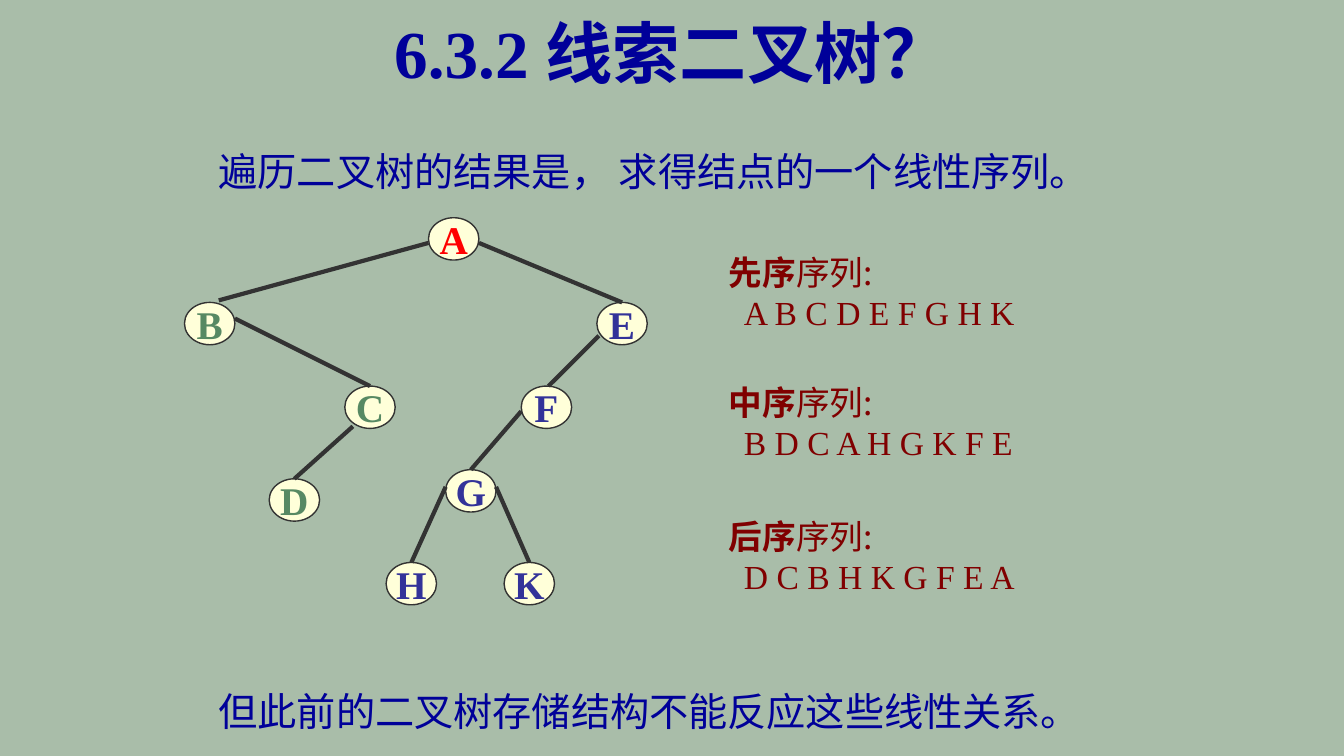
from dataclasses import dataclass

from lxml import etree
from pptx import Presentation
from pptx import util as u
from pptx.dml.color import RGBColor
from pptx.enum import shapes, text
from pptx.oxml import ns


@dataclass(frozen=True)
class Theme:
    latin: str = "Times New Roman"
    cjk: str = "Noto Sans CJK SC"
    background: str = "A9BDA9"
    heading: str = "000099"
    sequence: str = "800000"
    node_fill: str = "FFFFD9"
    outline: str = "333333"
    root: str = "FF0000"
    left_subtree: str = "578963"
    right_subtree: str = "333399"
    title_size: int = 48
    text_size: int = 28
    sequence_size: int = 24


class TreeSlide:
    """Holds the theme and the slide being filled."""

    def __init__(self, deck, theme):
        self.theme = theme
        self.slide = deck.slides.add_slide(deck.slide_layouts[5])
        self.paint(self.slide.background.fill, theme.background)

    @staticmethod
    def paint(fill, color):
        fill.solid()
        fill.fore_color.rgb = RGBColor.from_string(color)

    def run(self, paragraph, words, size, color, bold=False, latin=None):
        run = paragraph.add_run()
        run.text = words
        run.font.size = u.Pt(size)
        run.font.bold = bold
        run.font.color.rgb = RGBColor.from_string(color)
        run.font.name = latin or self.theme.latin
        east_asian = etree.SubElement(run.font._element, ns.qn("a:ea"))
        east_asian.set("typeface", self.theme.cjk)

    def title(self, words, left, top, width, height):
        heading = self.slide.shapes.title
        heading.left, heading.top = u.Inches(left), u.Inches(top)
        heading.width, heading.height = u.Inches(width), u.Inches(height)
        frame = heading.text_frame
        frame.vertical_anchor = text.MSO_ANCHOR.TOP
        frame.auto_size = text.MSO_AUTO_SIZE.NONE
        paragraph = frame.paragraphs[0]
        paragraph.alignment = text.PP_ALIGN.CENTER
        self.run(paragraph, words, self.theme.title_size, self.theme.heading, bold=True)

    def text_box(self, left, top, width, height, wrap=True):
        box = self.slide.shapes.add_textbox(
            u.Inches(left), u.Inches(top), u.Inches(width), u.Inches(height))
        box.text_frame.word_wrap = wrap
        return box.text_frame

    def statement(self, words, top):
        paragraph = self.text_box(2.07, top, 8.95, 0.62).paragraphs[0]
        paragraph.line_spacing = 1.2
        self.run(paragraph, words, self.theme.text_size, self.theme.heading)

    def sequence(self, order, letters, top):
        theme = self.theme
        frame = self.text_box(7.13, top, 3.12, 0.91, wrap=False)
        label = frame.paragraphs[0]
        self.run(label, order, theme.sequence_size, theme.sequence, True, theme.cjk)
        self.run(label, "序列:", theme.sequence_size, theme.sequence, latin=theme.cjk)
        visits = frame.add_paragraph()
        indent = visits._p.get_or_add_pPr()
        indent.set("marL", str(u.Inches(0.15)))
        indent.set("indent", "0")
        self.run(visits, " ".join(letters), theme.sequence_size, theme.sequence)

    def node(self, letter, left, top, color):
        oval = self.slide.shapes.add_shape(
            shapes.MSO_SHAPE.OVAL,
            u.Inches(left), u.Inches(top), u.Inches(0.5), u.Inches(0.42))
        oval.shadow.inherit = False
        self.paint(oval.fill, self.theme.node_fill)
        self.paint(oval.line.fill, self.theme.outline)
        oval.line.width = u.Pt(1)
        frame = oval.text_frame
        frame.word_wrap = False
        frame.vertical_anchor = text.MSO_ANCHOR.MIDDLE
        paragraph = frame.paragraphs[0]
        paragraph.alignment = text.PP_ALIGN.CENTER
        self.run(paragraph, letter, self.theme.text_size, color, bold=True)

    def branch(self, start, end):
        line = self.slide.shapes.add_connector(
            shapes.MSO_CONNECTOR.STRAIGHT, *(u.Inches(n) for n in (*start, *end)))
        self.paint(line.line.fill, self.theme.outline)
        line.line.width = u.Pt(3)
        etree.SubElement(line._element.spPr, ns.qn("a:effectLst"))


def main():
    deck = Presentation()
    deck.slide_width, deck.slide_height = u.Inches(13.33), u.Inches(7.5)
    theme = Theme()
    page = TreeSlide(deck, theme)

    # Heading and opening statement
    page.title("6.3.2 线索二叉树？", 3.11, 0.06, 7.1, 0.9)
    page.statement("遍历二叉树的结果是， 求得结点的一个线性序列。", 1.32)

    # Tree nodes, coloured by subtree
    subtrees = {
        theme.root: {"A": (4.25, 2.16)},
        theme.left_subtree: {"B": (1.83, 3), "C": (3.42, 3.83), "D": (2.67, 4.75)},
        theme.right_subtree: {"E": (5.92, 3), "F": (5.17, 3.83), "G": (4.42, 4.66),
                              "H": (3.83, 5.58), "K": (5, 5.58)},
    }
    for color, nodes in subtrees.items():
        for letter, (left, top) in nodes.items():
            page.node(letter, left, top, color)

    # Branches from parent to child
    branches = {
        "AB": ((4.25, 2.41), (2.17, 2.98)),
        "BC": ((2.33, 3.16), (3.67, 3.83)),
        "CD": ((3.5, 4.23), (2.92, 4.75)),
        "AE": ((4.75, 2.41), (6.17, 3)),
        "EF": ((5.94, 3.33), (5.44, 3.83)),
        "FG": ((5.17, 4.08), (4.67, 4.66)),
        "GH": ((4.42, 4.83), (4.08, 5.58)),
        "GK": ((4.92, 4.83), (5.25, 5.58)),
    }
    for start, end in branches.values():
        page.branch(start, end)

    # Traversal sequences
    for order, letters, top in (("先序", "ABCDEFGHK", 2.45),
                                ("中序", "BDCAHGKFE", 3.74),
                                ("后序", "DCBHKGFEA", 5.07)):
        page.sequence(order, letters, top)

    # Closing statement
    page.statement("但此前的二叉树存储结构不能反应这些线性关系。", 6.68)

    deck.save("out.pptx")


if __name__ == "__main__":
    main()
